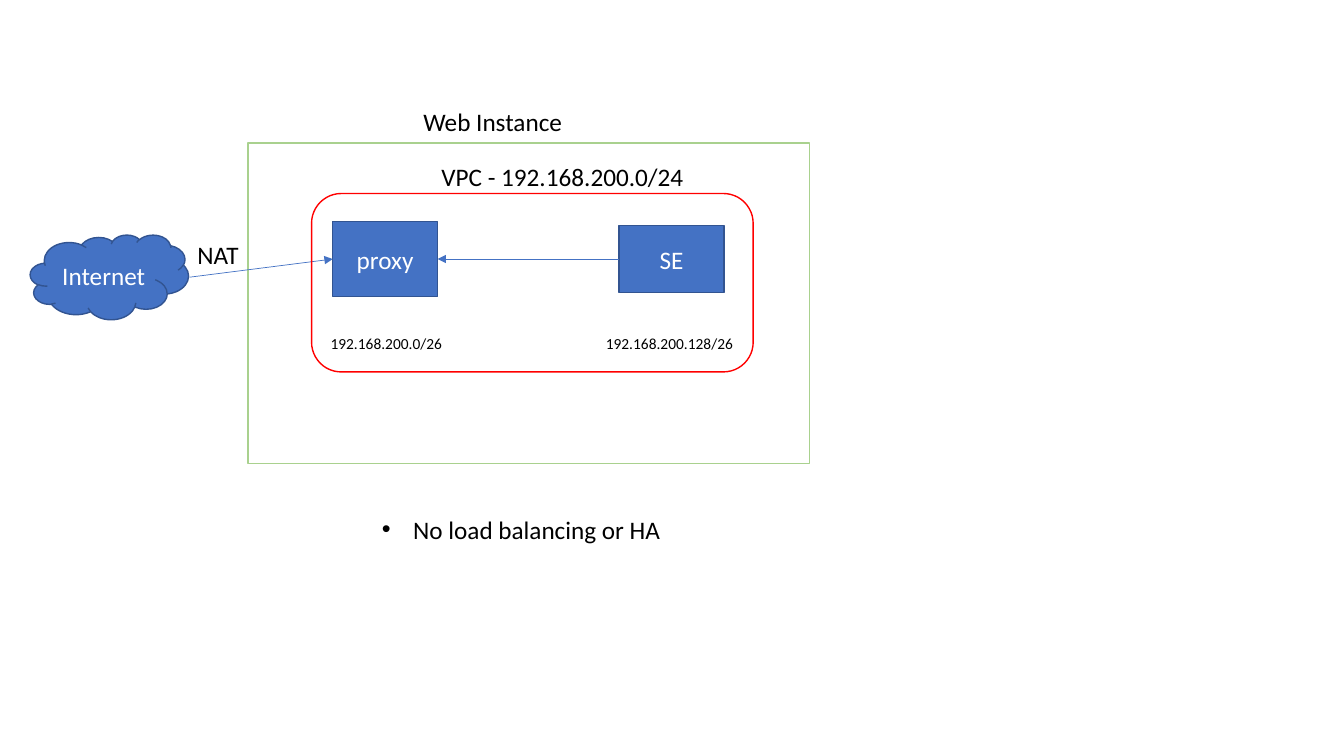
import pptx
import pptx.util
import pptx.dml.color
import pptx.enum.shapes
import pptx.enum.text
import pptx.oxml.ns
import lxml.etree

Inches = pptx.util.Inches
Shapes = pptx.enum.shapes.MSO_SHAPE
COLORS = {
    "blue": "4472C4",
    "navy": "325491",
    "green": "A9D18E",
    "red": "FF0000",
    "white": "FFFFFF",
    "black": "000000",
}


def color(name):
    return pptx.dml.color.RGBColor.from_string(COLORS[name])


def add_xml(parent, tag, **attributes):
    return lxml.etree.SubElement(parent, pptx.oxml.ns.qn(tag), attributes)


class Diagram:
    font_name = "Calibri"
    font_size = 18

    def __init__(self, slide):
        self.slide = slide

    def add_text(self, shape, text, ink, size=font_size):
        paragraph = shape.text_frame.paragraphs[0]
        run = paragraph.add_run()
        run.text = text
        formats = {"name": self.font_name, "size": pptx.util.Pt(size)}
        for key, value in formats.items():
            setattr(run.font, key, value)
        run.font.color.rgb = color(ink)
        return paragraph

    def outline(self, line, name, width):
        line.color.rgb = color(name)
        line.width = pptx.util.Pt(width)

    def frame(self, kind, place, line):
        shape = self.slide.shapes.add_shape(kind, *map(Inches, place))
        shape.shadow.inherit = False
        shape.fill.background()
        self.outline(shape.line, line, 1)
        return shape

    def node(self, kind, place, text):
        shape = self.frame(kind, place, "navy")
        shape.fill.solid()
        shape.fill.fore_color.rgb = color("blue")
        shape.text_frame.vertical_anchor = pptx.enum.text.MSO_ANCHOR.MIDDLE
        paragraph = self.add_text(shape, text, "white")
        paragraph.alignment = pptx.enum.text.PP_ALIGN.CENTER
        return shape

    def label(self, place, text, size=font_size):
        shape = self.slide.shapes.add_textbox(*map(Inches, place))
        formats = {
            "word_wrap": True,
            "auto_size": pptx.enum.text.MSO_AUTO_SIZE.SHAPE_TO_FIT_TEXT,
        }
        for key, value in formats.items():
            setattr(shape.text_frame, key, value)
        return self.add_text(shape, text, "black", size)

    def bullet(self, place, text):
        properties = self.label(place, text)._p.get_or_add_pPr()
        indent = Inches(0.31)
        properties.set("marL", str(indent))
        properties.set("indent", str(-indent))
        add_xml(properties, "a:buFont", typeface="Arial")
        add_xml(properties, "a:buChar", char="•")

    def arrow(self, start, end, target, target_side, source=None, source_side=None):
        connector = self.slide.shapes.add_connector(
            pptx.enum.shapes.MSO_CONNECTOR.STRAIGHT, *map(Inches, start + end)
        )
        if source is not None:
            connector.begin_connect(source, source_side)
        connector.end_connect(target, target_side)
        self.outline(connector.line, "blue", 0.5)
        properties = connector._element.spPr
        add_xml(properties.find(pptx.oxml.ns.qn("a:ln")), "a:tailEnd", type="triangle")
        add_xml(properties, "a:effectLst")


def main():
    presentation = pptx.Presentation()
    presentation.slide_width = Inches(13.33)
    presentation.slide_height = Inches(7.5)
    diagram = Diagram(presentation.slides.add_slide(presentation.slide_layouts[6]))

    proxy = diagram.node(Shapes.RECTANGLE, (3.3, 2.2, 1.04, 0.74), "proxy")
    diagram.frame(Shapes.RECTANGLE, (2.46, 1.42, 5.57, 3.18), "green")
    diagram.label((4.1, 1.01, 1.63, 0.4), "Web Instance")
    diagram.node(Shapes.CLOUD, (0.3, 2.33, 1.57, 0.84), "Internet")
    diagram.arrow((1.88, 2.75), (3.3, 2.57), proxy, 1)
    search = diagram.node(Shapes.RECTANGLE, (6.14, 2.24, 1.04, 0.66), "SE")
    diagram.arrow((6.14, 2.57), (4.34, 2.57), proxy, 3, search, 1)
    for left, subnet in ((5.91, "192.168.200.128/26"), (3.18, "192.168.200.0/26")):
        diagram.label((left, 3.27, 1.49, 0.29), subnet, 11)
    diagram.bullet((3.69, 5.05, 3.43, 0.4), "No load balancing or HA")
    diagram.label((1.86, 2.33, 0.66, 0.4), "NAT")
    diagram.frame(Shapes.ROUNDED_RECTANGLE, (3.09, 1.92, 4.38, 1.77), "red")
    diagram.label((4.28, 1.55, 2.77, 0.4), "VPC - 192.168.200.0/24")
    presentation.save("out.pptx")


if __name__ == "__main__":
    main()
